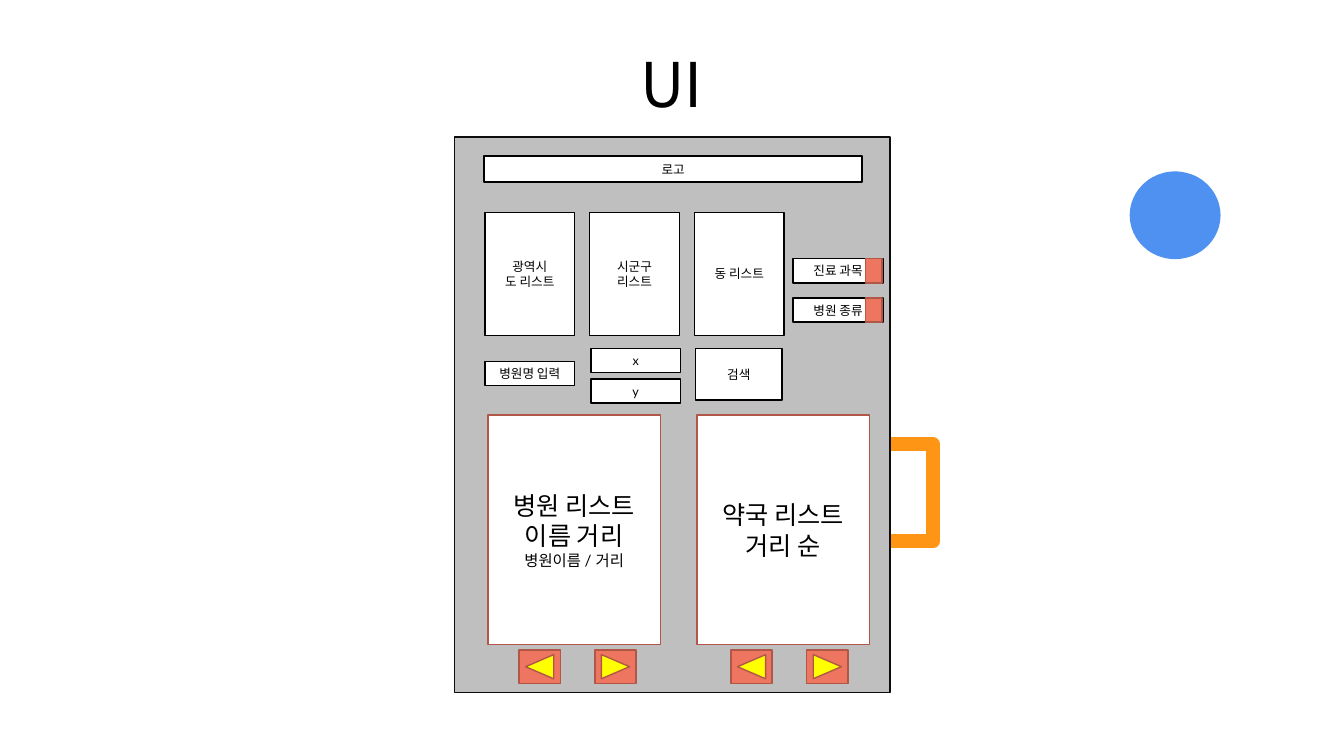
from pptx import Presentation
from pptx.dml.color import RGBColor
from pptx.enum.shapes import MSO_SHAPE
from pptx.enum.text import MSO_ANCHOR, PP_ALIGN
from pptx.util import Cm, Pt

RECT = MSO_SHAPE.RECTANGLE
OVAL = MSO_SHAPE.OVAL
WEDGE = MSO_SHAPE.ISOSCELES_TRIANGLE
MIDDLE = MSO_ANCHOR.MIDDLE
CENTER = PP_ALIGN.CENTER

BLACK = RGBColor(0x00, 0x00, 0x00)
WHITE = RGBColor(0xFF, 0xFF, 0xFF)
EDGE = RGBColor(0x0D, 0x0D, 0x0D)
GRAY = RGBColor(0xBF, 0xBF, 0xBF)
BLUE = RGBColor(0x4E, 0x91, 0xF0)
ORANGE = RGBColor(0xFF, 0x95, 0x14)
CORAL = RGBColor(0xEE, 0x76, 0x61)
BRICK = RGBColor(0xB0, 0x57, 0x48)
YELLOW = RGBColor(0xFF, 0xFF, 0x00)


def write(frame, lines, sizes, font="Lato"):
    frame.word_wrap = True
    frame.vertical_anchor = MIDDLE
    frame.text = "\n".join(lines)
    for para, size in zip(frame.paragraphs, sizes):
        para.alignment = CENTER
        para.font.size = Pt(size)
        para.font.name = font
        para.font.color.rgb = BLACK


def draw(shapes, kind, box, fill=None, line=None, width=1):
    shape = shapes.add_shape(kind, *[Cm(v) for v in box])
    shape.shadow.inherit = False
    if fill is None:
        shape.fill.background()
    else:
        shape.fill.solid()
        shape.fill.fore_color.rgb = fill
    if line is None:
        shape.line.fill.background()
    else:
        shape.line.color.rgb = line
        shape.line.width = Pt(width)
    return shape


def field(shapes, box, *lines):
    shape = draw(shapes, RECT, box, WHITE, BLACK)
    write(shape.text_frame, lines, [9] * len(lines))


def card(shapes, box, lines, sizes):
    shape = draw(shapes, RECT, box, WHITE, BRICK)
    write(shape.text_frame, lines, sizes)


def button(shapes, x, y, turn):
    group = shapes.add_group_shape()
    for kind, w, h, fill in ((RECT, 0.84, 1.04, CORAL),
                             (WEDGE, 0.61, 0.71, YELLOW)):
        part = draw(group.shapes, kind, (x - w / 2, y - h / 2, w, h), fill, BRICK)
        part.rotation = turn


def decor(shapes):
    draw(shapes, OVAL, (28.47, 4.32, 2.29, 2.21), BLUE)
    draw(shapes, RECT, (21.08, 11.2, 2.44, 2.44), None, ORANGE, 10)


def title(shapes, box):
    frame = shapes.add_textbox(*[Cm(v) for v in box]).text_frame
    write(frame, ["UI"], [44], "Noto Sans CJK KR")
    frame.paragraphs[0].line_spacing = 0.9


def search(shapes, x, y):
    field(shapes, (x + 0.74, y + 0.48, 9.53, 0.66), "로고")
    areas = (["광역시", "도 리스트"], ["시군구 리스트"], ["동 리스트"])
    for i, lines in enumerate(areas):
        field(shapes, (x + 0.76 + 2.64 * i, y + 1.9, 2.26, 3.1), *lines)
    for i, label in enumerate(("진료 과목", "병원 종류")):
        top = y + 3.07 + 0.99 * i
        field(shapes, (x + 8.53, top, 2.26, 0.61), label)
        draw(shapes, RECT, (x + 10.36, top, 0.41, 0.61), CORAL, BRICK)
    field(shapes, (x + 0.76, y + 5.66, 2.26, 0.61), "병원명 입력")
    for i, label in enumerate("xy"):
        field(shapes, (x + 3.43, y + 5.33 + 0.77 * i, 2.26, 0.61), label)
    field(shapes, (x + 6.07, y + 5.33, 2.18, 1.3), "검색")


def results(shapes, x, y):
    cards = (
        (["병원 리스트", "이름 거리", "병원이름 / 거리"], [18, 18, 11]),
        (["약국 리스트", "거리 순"], [18, 18]),
    )
    for i, (lines, sizes) in enumerate(cards):
        card(shapes, (x + 0.84 + 5.27 * i, y, 4.34, 5.79), lines, sizes)
        for j, turn in enumerate((270, 90)):
            button(shapes, x + 2.14 + 5.34 * i + 1.91 * j, y + 6.34, turn)


def panel(shapes, x, y, w, h):
    group = shapes.add_group_shape()
    draw(group.shapes, RECT, (x, y, w, h), GRAY, EDGE)
    search(group.shapes, x, y)
    results(group.shapes, x, y + 7.01)


def main():
    deck = Presentation()
    deck.slide_width = Cm(33.87)
    deck.slide_height = Cm(19.05)
    shapes = deck.slides.add_slide(deck.slide_layouts[6]).shapes
    decor(shapes)
    title(shapes, (11.48, 0.36, 10.9, 3.68))
    panel(shapes, 11.46, 3.45, 10.97, 14)
    deck.save("out.pptx")


if __name__ == "__main__":
    main()
